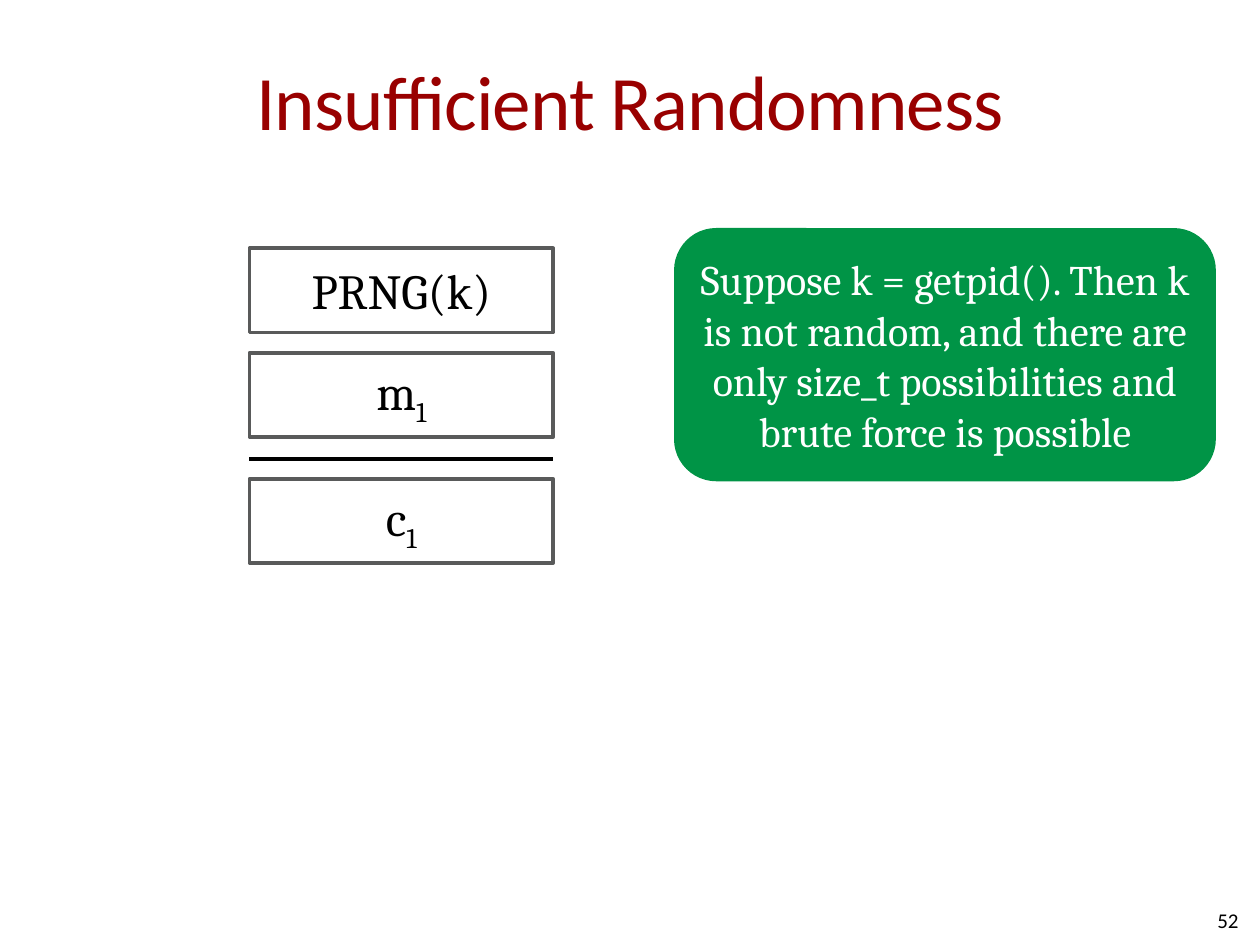
"""Build the slide on insufficient randomness in a one-time pad."""
from pptx import Presentation
from pptx.dml.color import RGBColor
from pptx.enum.shapes import MSO_CONNECTOR, MSO_SHAPE
from pptx.enum.text import MSO_ANCHOR, PP_ALIGN
from pptx.oxml.ns import qn
from pptx.util import Inches, Pt
from lxml.etree import SubElement

COLORS = {"title": "990000", "ink": "000000", "edge": "595A5A",
          "paper": "FFFFFF", "note": "009446"}


def color(name):
    return RGBColor.from_string(COLORS[name])


class Deck:
    def __init__(self):
        self.prs = Presentation()
        self.prs.slide_width, self.prs.slide_height = Inches(10), Inches(7.5)
        self.slide = self.prs.slides.add_slide(self.prs.slide_layouts[5])

    def label(self, shape, runs, size, face, ink, align=PP_ALIGN.CENTER, pad=0):
        frame = shape.text_frame
        form = {"word_wrap": True, "vertical_anchor": MSO_ANCHOR.MIDDLE,
                "margin_left": 0, "margin_right": 0,
                "margin_top": Inches(pad), "margin_bottom": Inches(pad)}
        for key, value in form.items():
            setattr(frame, key, value)
        para = frame.paragraphs[0]
        para.alignment = align
        for text, attrs in runs:
            run = para.add_run()
            run.text = text
            for key, value in {"size": Pt(size), "name": face}.items():
                setattr(run.font, key, value)
            run.font.color.rgb = color(ink)
            for key, value in attrs.items():
                run._r.get_or_add_rPr().set(key, value)

    def title(self, text, *area):
        shape = self.slide.shapes.title
        for key, value in zip(("left", "top", "width", "height"), area):
            setattr(shape, key, Inches(value))
        self.label(shape, [(text, {"spc": "-50"})], 44, "Calibri", "title", pad=0.05)

    def number(self, text, *area):
        shape = self.slide.shapes.add_textbox(*map(Inches, area))
        self.label(shape, [(text, {})], 12, "Calibri", "ink", PP_ALIGN.RIGHT)

    def box(self, kind, area, runs, size, fill, ink, edge=None):
        shape = self.slide.shapes.add_shape(kind, *map(Inches, area))
        shape.shadow.inherit = False
        shape.fill.solid()
        shape.fill.fore_color.rgb = color(fill)
        if edge:
            shape.line.color.rgb = color(edge)
            shape.line.width = Pt(2)
        else:
            shape.line.fill.background()
        self.label(shape, runs, size, "Cambria", ink)

    def rule(self, left, top, width):
        line = self.slide.shapes.add_connector(
            MSO_CONNECTOR.STRAIGHT, *map(Inches, (left, top, left + width, top)))
        line.line.color.rgb = color("ink")
        line.line.width = Pt(2.25)
        SubElement(line._element.spPr, qn("a:effectLst"))


def main():
    deck = Deck()
    deck.title("Insufficient Randomness", 0.5, 0.17, 9, 1.25)
    deck.number("52", 7.5, 7.1, 2.33, 0.4)
    left, width, height = 1.98, 2.41, 0.67
    sub = ("1", {"baseline": "-25000"})
    rows = [(1.97, [("PRNG(k)", {})]),
            (2.8, [("m", {}), sub]),
            (3.8, [("c", {}), sub])]
    for top, runs in rows:
        deck.box(MSO_SHAPE.RECTANGLE, (left, top, width, height), runs, 28,
                 "paper", "ink", "edge")
    deck.rule(left, 3.64, width)
    note = ("Suppose k = getpid(). Then k is not random, and there are "
            "only size_t possibilities and brute force is possible")
    deck.box(MSO_SHAPE.ROUNDED_RECTANGLE, (5.35, 1.81, 4.3, 2.01), [(note, {})],
             24, "note", "paper")
    deck.prs.save("out.pptx")


if __name__ == "__main__":
    main()
